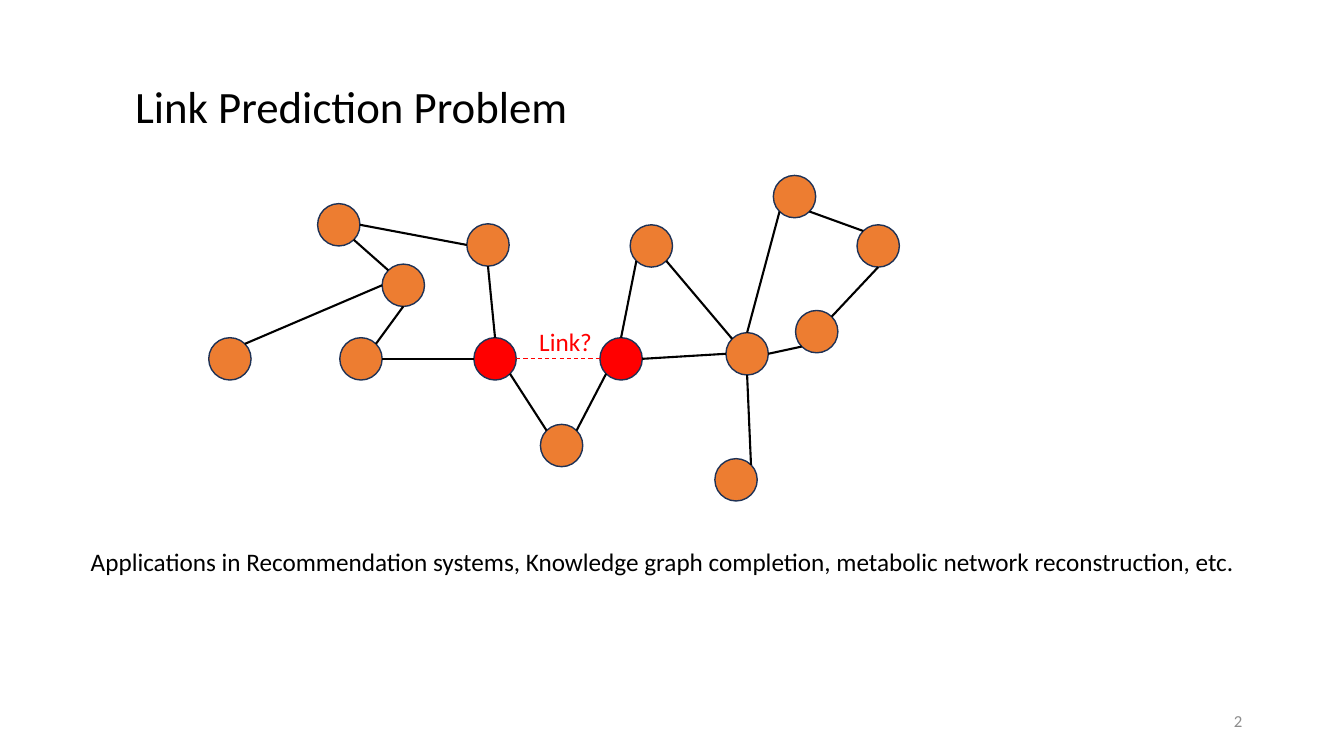
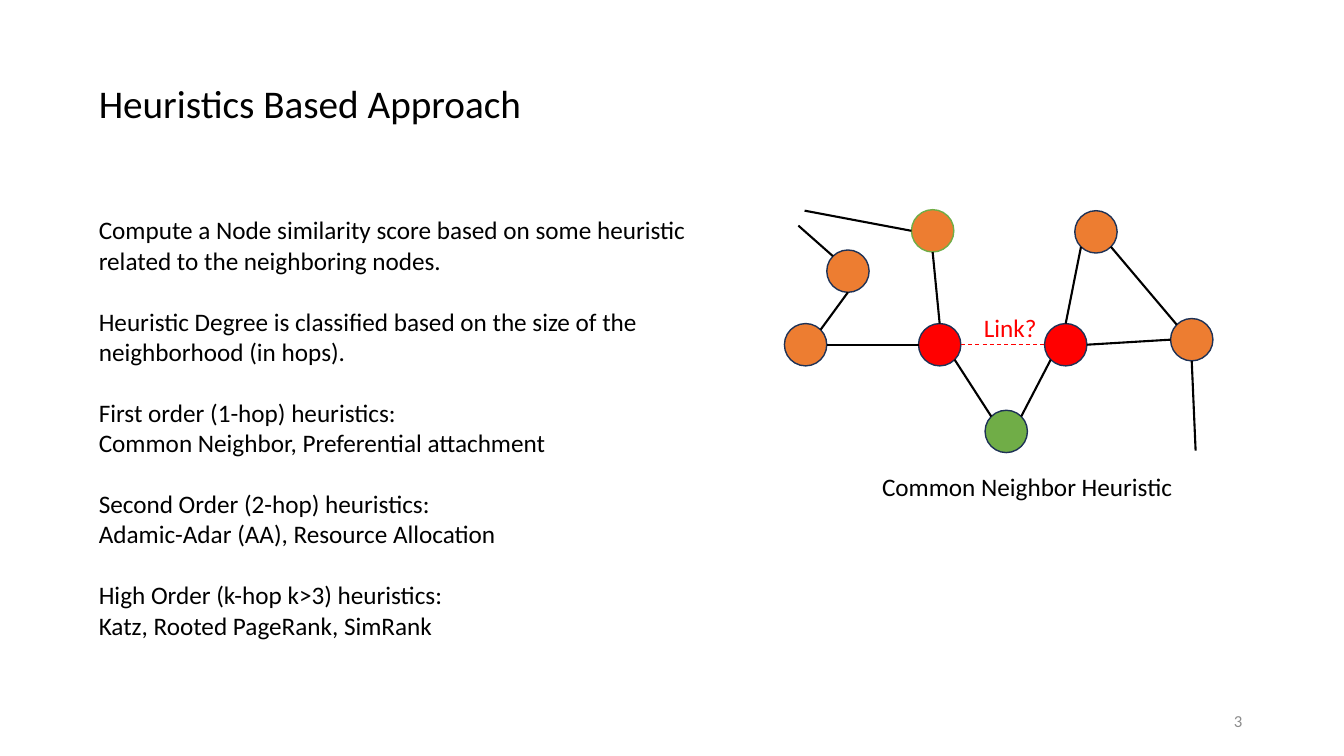
from dataclasses import dataclass
from math import cos, pi, sin

from lxml.etree import SubElement as Sub
from pptx import Presentation
from pptx.dml.color import RGBColor as Rgb
from pptx.enum.dml import MSO_LINE_DASH_STYLE as Dash
from pptx.enum.shapes import MSO_CONNECTOR as Cxn, MSO_SHAPE as Kind
from pptx.enum.text import MSO_ANCHOR as Anchor, MSO_AUTO_SIZE as Fit, PP_ALIGN as Align
from pptx.oxml.ns import qn
from pptx.util import Inches, Pt


@dataclass(frozen=True)
class Theme:
    """Colours, type sizes and line widths shared by the slides."""
    font: str = "Calibri"
    ink: str = "000000"
    mute: str = "8C8C8C"
    hot: str = "FF0000"
    node: str = "ED7D31"
    mark: str = "70AD47"
    rim: str = "1E3256"
    head: int = 32
    sub: int = 28
    text: int = 18
    foot: int = 12
    edge: float = 1.5
    thin: float = 0.75
    ring: float = 1
    cell: float = 0.1
    disc: float = 4.2


SITES = ("n", "nw", "w", "sw", "s", "se", "e", "ne")

CORE = {
    "b": (37.9, 26.2), "c": (33.7, 33.5), "d": (47, 33.5), "g": (46.3, 22.2),
    "h": (62.5, 22.3), "e": (59.5, 33.5), "k": (53.6, 42.1), "m": (72, 33),
}
OUTER = {
    "a": (31.5, 20.2), "f": (20.7, 33.5), "p": (76.7, 17.4),
    "q": (85, 22.3), "r": (78.9, 30.8), "t": (70.9, 45.5),
}
NEAR = (
    "a se b nw", "d w c e", "c ne b s", "g s d n", "a e g w", "d se k nw",
    "k ne e sw", "m nw h se", "e n h sw", "e e m w", "m s t ne",
)
FAR = ("b w f ne", "p se q nw", "r ne q s", "p sw m n", "r sw m e")


def put(item, form):
    """Set each attribute named in a dict of format values."""
    for key, val in form.items():
        setattr(item, key, val)


class Deck:
    """Holds the theme, the file and the current slide."""

    def __init__(self, theme):
        """Open an empty wide file."""
        self.theme = theme
        self.file = Presentation()
        put(self.file, {"slide_width": Inches(13.33), "slide_height": Inches(7.5)})

    def span(self, *cells):
        """Turn grid cells into lengths."""
        return [Inches(n * self.theme.cell) for n in cells]

    def page(self, title, size, box, num):
        """Start a slide with its title and number."""
        self.slide = self.file.slides.add_slide(self.file.slide_layouts[1])
        self.fill(self.slide.shapes.title, box, [[title]], size=size)
        self.label(str(num), (94.2, 69.5, 30, 4), size=self.theme.foot,
                   tint=self.theme.mute, align=Align.RIGHT, anchor=Anchor.MIDDLE)

    def fill(self, shape, box, groups, size=None, tint=None,
             align=Align.LEFT, anchor=Anchor.TOP):
        """Place a text shape and write groups of lines, one line apart."""
        look = self.theme
        size = size or look.text
        put(shape, dict(zip(("left", "top", "width", "height"), self.span(*box))))
        frame = shape.text_frame
        put(frame, {"word_wrap": True, "auto_size": Fit.NONE, "vertical_anchor": anchor})
        rows = [(line, i > 0 and j == 0)
                for i, group in enumerate(groups) for j, line in enumerate(group)]
        for n, (line, gap) in enumerate(rows):
            para = frame.add_paragraph() if n else frame.paragraphs[0]
            put(para, {"alignment": align, "line_spacing": 1.0,
                       "space_before": Pt(size * 1.22 if gap else 0)})
            run = para.add_run()
            run.text = line
            put(run.font, {"name": look.font, "size": Pt(size)})
            run.font.color.rgb = Rgb.from_string(tint or look.ink)

    def label(self, text, box, **form):
        """Add a one-line text box."""
        shape = self.slide.shapes.add_textbox(*self.span(*box))
        self.fill(shape, box, [[text]], **form)

    def body(self, groups, box):
        """Fill the body placeholder without bullets."""
        shape = self.slide.placeholders[1]
        self.fill(shape, box, groups)
        for para in shape.text_frame.paragraphs:
            props = para._p.get_or_add_pPr()
            props.set("marL", "0")
            props.set("indent", "0")
            Sub(props, qn("a:buNone"))

    def node(self, spot, fill, rim):
        """Draw a round node."""
        size = self.theme.disc
        shape = self.slide.shapes.add_shape(Kind.OVAL, *self.span(*spot, size, size))
        shape.shadow.inherit = False
        shape.fill.solid()
        shape.fill.fore_color.rgb = Rgb.from_string(fill)
        shape.line.color.rgb = Rgb.from_string(rim)
        shape.line.width = Pt(self.theme.ring)
        return shape

    def site(self, spot, side):
        """Find a compass point on the rim of a node."""
        turn = SITES.index(side) * pi / 4
        half = self.theme.disc / 2
        return spot[0] + half * (1 - sin(turn)), spot[1] + half * (1 - cos(turn))

    def edge(self, spots, discs, code, tint, form):
        """Join two nodes, gluing the ends whose node is drawn."""
        one, out, two, into = code.split()
        ends = self.site(spots[one], out) + self.site(spots[two], into)
        line = self.slide.shapes.add_connector(Cxn.STRAIGHT, *self.span(*ends))
        line.line.color.rgb = Rgb.from_string(tint)
        put(line.line, form)
        Sub(line.element.spPr, qn("a:effectLst"))
        glue = line.element.nvCxnSpPr.cNvCxnSpPr
        for tag, name, side in (("a:stCxn", one, out), ("a:endCxn", two, into)):
            if name in discs:
                Sub(glue, qn(tag), id=str(discs[name].shape_id), idx=str(SITES.index(side)))

    def graph(self, names, codes, shift=(0, 0), fills=None, rims=None):
        """Draw the network with its open link."""
        look = self.theme
        fills = {"d": look.hot, "e": look.hot, **(fills or {})}
        rims = rims or {}
        spots = {name: (x + shift[0], y + shift[1])
                 for name, (x, y) in {**CORE, **OUTER}.items()}
        discs = {name: self.node(spots[name], fills.get(name, look.node),
                                 rims.get(name, look.rim)) for name in names}
        for code in codes:
            self.edge(spots, discs, code, look.ink, {"width": Pt(look.edge)})
        self.edge(spots, discs, "d e e w", look.hot,
                  {"width": Pt(look.thin), "dash_style": Dash.DASH})
        self.label("Link?", (52.5 + shift[0], 31.9 + shift[1], 9, 4), tint=look.hot)


def main():
    """Build both slides and save them."""
    look = Theme()
    deck = Deck(look)

    deck.page("Link Prediction Problem", look.head, (12.4, 7.3, 60, 6.4), 2)
    deck.graph([*CORE, *OUTER], NEAR + FAR)
    deck.body([["Applications in Recommendation systems, Knowledge graph completion, "
                "metabolic network reconstruction, etc."]], (8, 53.7, 120, 4))

    deck.page("Heuristics Based Approach", look.sub, (8.8, 7.4, 60, 5.7), 3)
    deck.graph(CORE, NEAR, (44.1, -1.4), {"k": look.mark}, {"g": look.mark})
    deck.label("Common Neighbor Heuristic", (86.5, 46.3, 34, 4))
    deck.body([
        ["Compute a Node similarity score based on some heuristic",
         "related to the neighboring nodes."],
        ["Heuristic Degree is classified based on the size of the",
         "neighborhood (in hops)."],
        ["First order (1-hop) heuristics:", "Common Neighbor, Preferential attachment"],
        ["Second Order (2-hop) heuristics:", "Adamic-Adar (AA), Resource Allocation"],
        ["High Order (k-hop k>3) heuristics:", "Katz, Rooted PageRank, SimRank"],
    ], (8.8, 20.8, 64, 43.4))

    deck.file.save("out.pptx")


if __name__ == "__main__":
    main()
